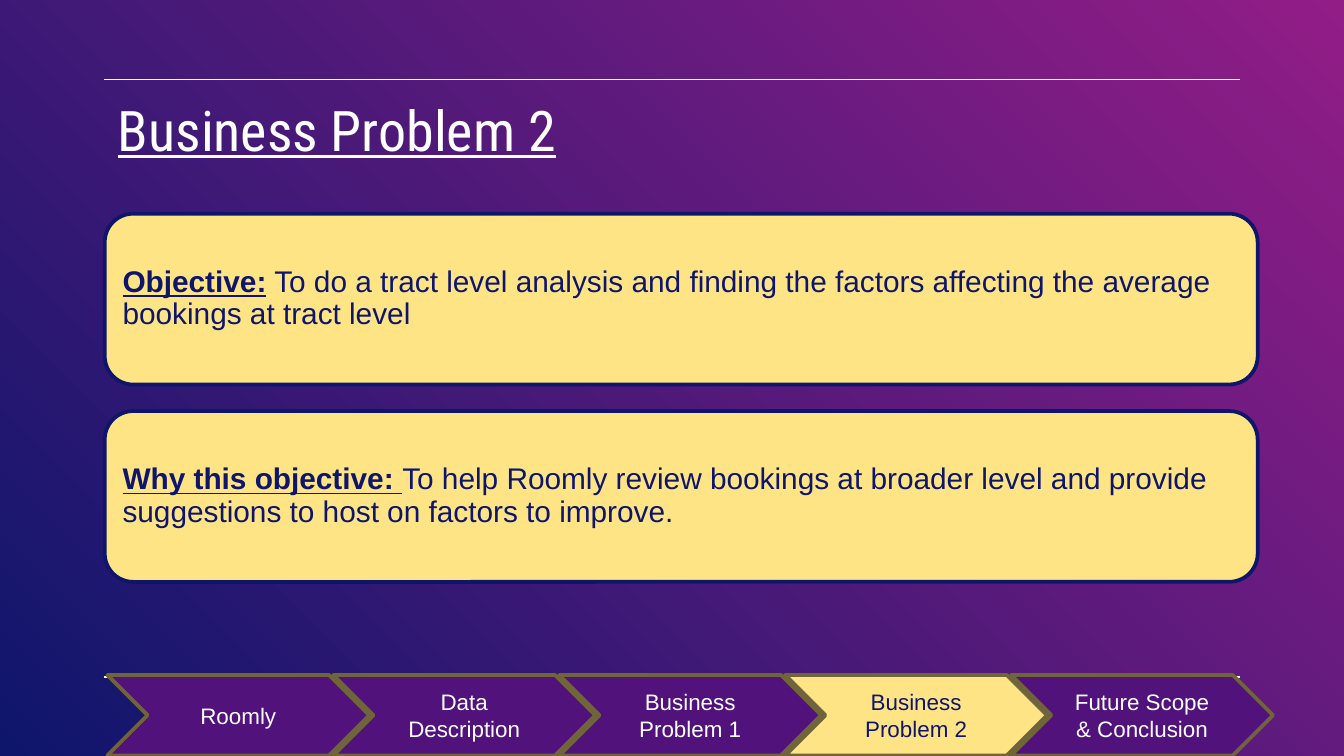
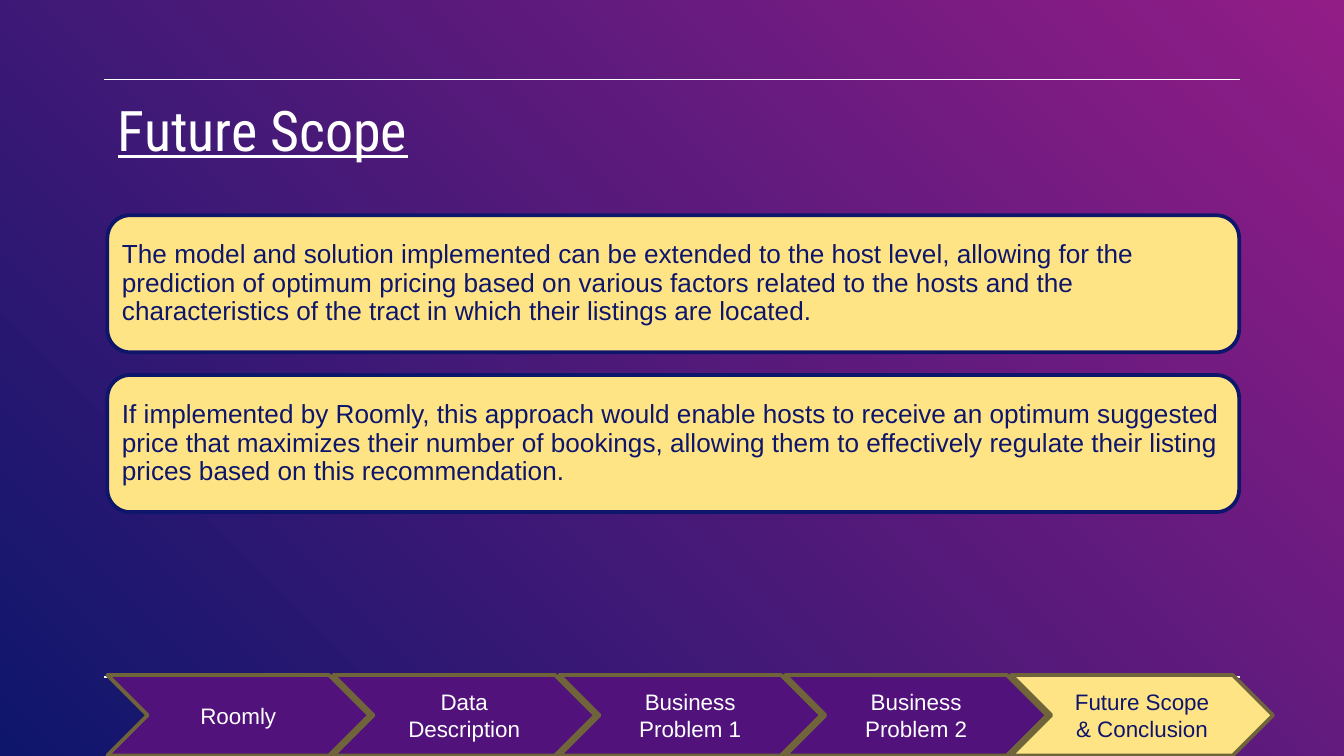
from dataclasses import dataclass

from lxml.etree import SubElement
from pptx import Presentation
from pptx.dml.color import RGBColor
from pptx.enum.shapes import MSO_CONNECTOR, MSO_SHAPE
from pptx.enum.text import MSO_ANCHOR, PP_ALIGN
from pptx.oxml.ns import qn
from pptx.util import Cm, Pt


@dataclass(frozen=True)
class Theme:
    magenta: RGBColor = RGBColor.from_string("921D87")
    navy: RGBColor = RGBColor.from_string("0E166C")
    purple: RGBColor = RGBColor.from_string("51127C")
    yellow: RGBColor = RGBColor.from_string("FFE485")
    olive: RGBColor = RGBColor.from_string("70643A")
    white: RGBColor = RGBColor.from_string("FFFFFF")
    title_font: str = "Roboto Condensed"
    body_font: str = "Arial"
    title_size: int = 30
    problem_size: int = 16
    scope_size: int = 14
    step_size: int = 12
    outline: float = 2
    rule: float = 0.75


@dataclass(frozen=True)
class CardLayout:
    left: float
    top: float
    width: float
    height: float
    pitch: float
    inset: float
    size: int


THEME = Theme()
STEPS = [
    "Roomly",
    "Data Description",
    "Business Problem 1",
    "Business Problem 2",
    "Future Scope & Conclusion",
]
PROBLEM_CARDS = CardLayout(
    1.98, 4.04, 21.79, 3.23, 3.73, 0.18, THEME.problem_size)
SCOPE_CARDS = CardLayout(
    2.03, 4.07, 21.39, 2.59, 3.02, 0.15, THEME.scope_size)
PROBLEM_TEXTS = [
    ("Objective:", " To do a tract level analysis and finding the factors "
     "affecting the average bookings at tract level"),
    ("Why this objective: ", "To help Roomly review bookings at broader level "
     "and provide suggestions to host on factors to improve."),
]
SCOPE_TEXTS = [
    ("", "The model and solution implemented can be extended to the host level, "
     "allowing for the prediction of optimum pricing based on various factors "
     "related to the hosts and the characteristics of the tract in which their "
     "listings are located."),
    ("", "If implemented by Roomly, this approach would enable hosts to receive "
     "an optimum suggested price that maximizes their number of bookings, "
     "allowing them to effectively regulate their listing prices based on this "
     "recommendation."),
]


def paint_background(master):
    fill = master.background.fill
    fill.gradient()
    fill.gradient_angle = 225
    for stop, color, position in zip(
            fill.gradient_stops, (THEME.magenta, THEME.navy), (0, 1)):
        stop.color.rgb = color
        stop.position = position


def style_font(font, name, size, color):
    font.name = name
    font.size = Pt(size)
    font.color.rgb = color


def set_insets(frame, inset):
    frame.margin_left = frame.margin_right = Cm(inset)
    frame.margin_top = frame.margin_bottom = Cm(inset)


def add_rule(page, top):
    rule = page.shapes.add_connector(
        MSO_CONNECTOR.STRAIGHT, Cm(1.96), Cm(top), Cm(23.44), Cm(top))
    rule.line.color.rgb = THEME.white
    rule.line.width = Pt(THEME.rule)
    SubElement(rule._element.spPr, qn("a:effectLst"))


def set_title(page, text):
    title = page.shapes.title
    title.left, title.top = Cm(1.98), Cm(1.55)
    title.width, title.height = Cm(21.44), Cm(1.68)
    frame = title.text_frame
    frame.text = text
    frame.vertical_anchor = MSO_ANCHOR.TOP
    set_insets(frame, 0.25)
    paragraph = frame.paragraphs[0]
    paragraph.alignment = PP_ALIGN.LEFT
    span = paragraph.runs[0]
    style_font(span.font, THEME.title_font, THEME.title_size, THEME.white)
    span.font.underline = True


def add_box(page, preset, left, top, width, height, fill, line):
    box = page.shapes.add_shape(
        preset, Cm(left), Cm(top), Cm(width), Cm(height))
    box.shadow.inherit = False
    box.fill.solid()
    box.fill.fore_color.rgb = fill
    box.line.color.rgb = line
    box.line.width = Pt(THEME.outline)
    box.text_frame.word_wrap = True
    box.text_frame.vertical_anchor = MSO_ANCHOR.MIDDLE
    return box


def add_cards(page, layout, texts):
    for index, (lead, body) in enumerate(texts):
        box = add_box(
            page, MSO_SHAPE.ROUNDED_RECTANGLE, layout.left,
            layout.top + index * layout.pitch, layout.width, layout.height,
            THEME.yellow, THEME.navy)
        set_insets(box.text_frame, layout.inset)
        paragraph = box.text_frame.paragraphs[0]
        paragraph.alignment = PP_ALIGN.LEFT
        paragraph.line_spacing = 0.9
        for text, is_lead in ((lead, True), (body, False)):
            if text:
                span = paragraph.add_run()
                span.text = text
                style_font(span.font, THEME.body_font, layout.size, THEME.navy)
                span.font.bold = span.font.underline = is_lead


def add_step_trail(page, current):
    for index, step in reversed(list(enumerate(STEPS))):
        active = step == current
        box = add_box(
            page, MSO_SHAPE.CHEVRON, 2.03 + index * 4.27, 12.76, 4.95, 1.52,
            THEME.yellow if active else THEME.purple, THEME.olive)
        box.text_frame.text = step
        paragraph = box.text_frame.paragraphs[0]
        paragraph.alignment = PP_ALIGN.CENTER
        style_font(paragraph.runs[0].font, THEME.body_font, THEME.step_size,
                   THEME.navy if active else THEME.white)


def add_page(deck, title, layout, texts, current):
    page = deck.slides.add_slide(deck.slide_layouts.get_by_name("Title Only"))
    for top in (1.5, 12.8):
        add_rule(page, top)
    set_title(page, title)
    add_cards(page, layout, texts)
    add_step_trail(page, current)


def main():
    deck = Presentation()
    deck.slide_width, deck.slide_height = Cm(25.4), Cm(14.29)
    paint_background(deck.slide_master)
    add_page(deck, "Business Problem 2", PROBLEM_CARDS, PROBLEM_TEXTS, STEPS[3])
    add_page(deck, "Future Scope", SCOPE_CARDS, SCOPE_TEXTS, STEPS[4])
    deck.save("out.pptx")


if __name__ == "__main__":
    main()
